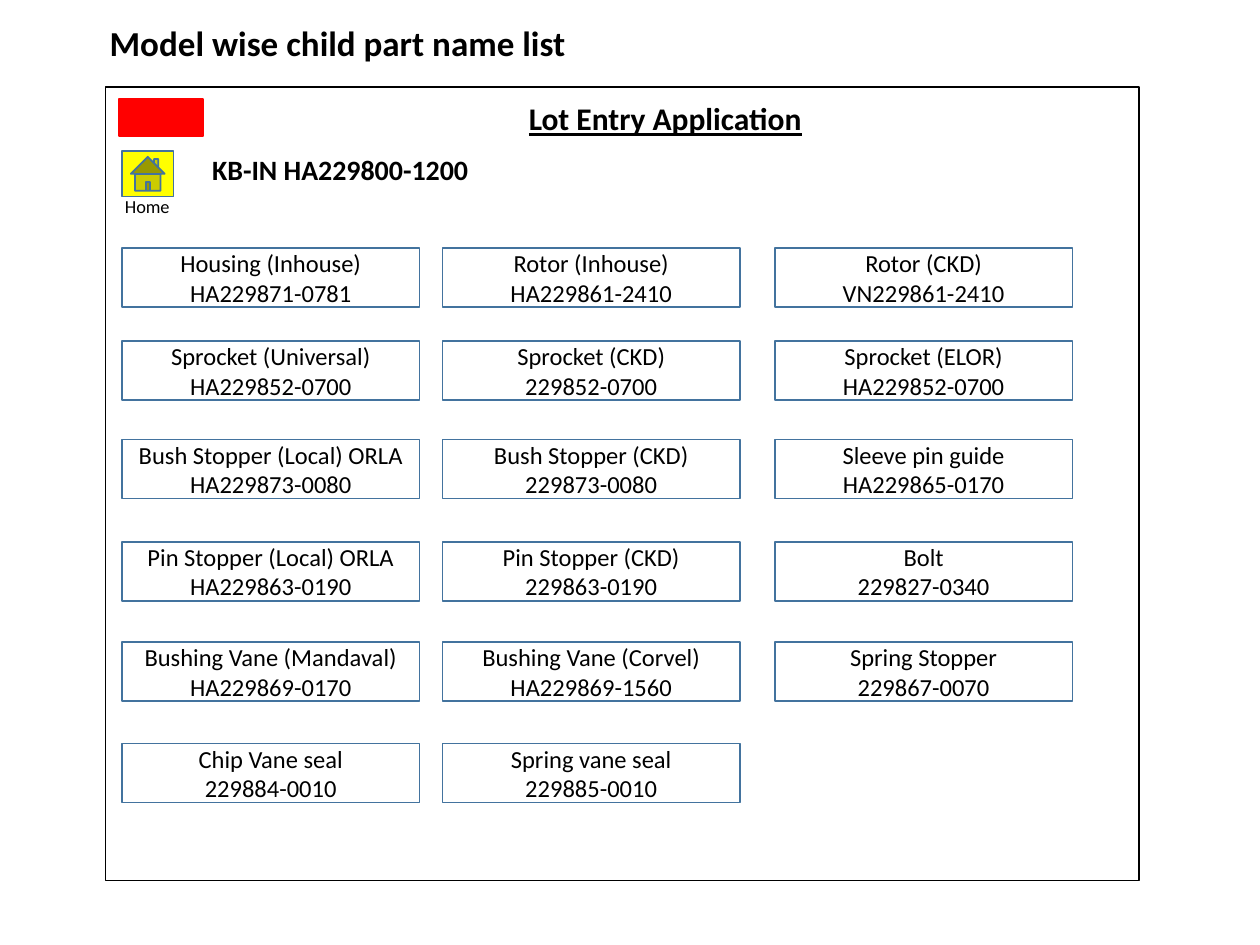
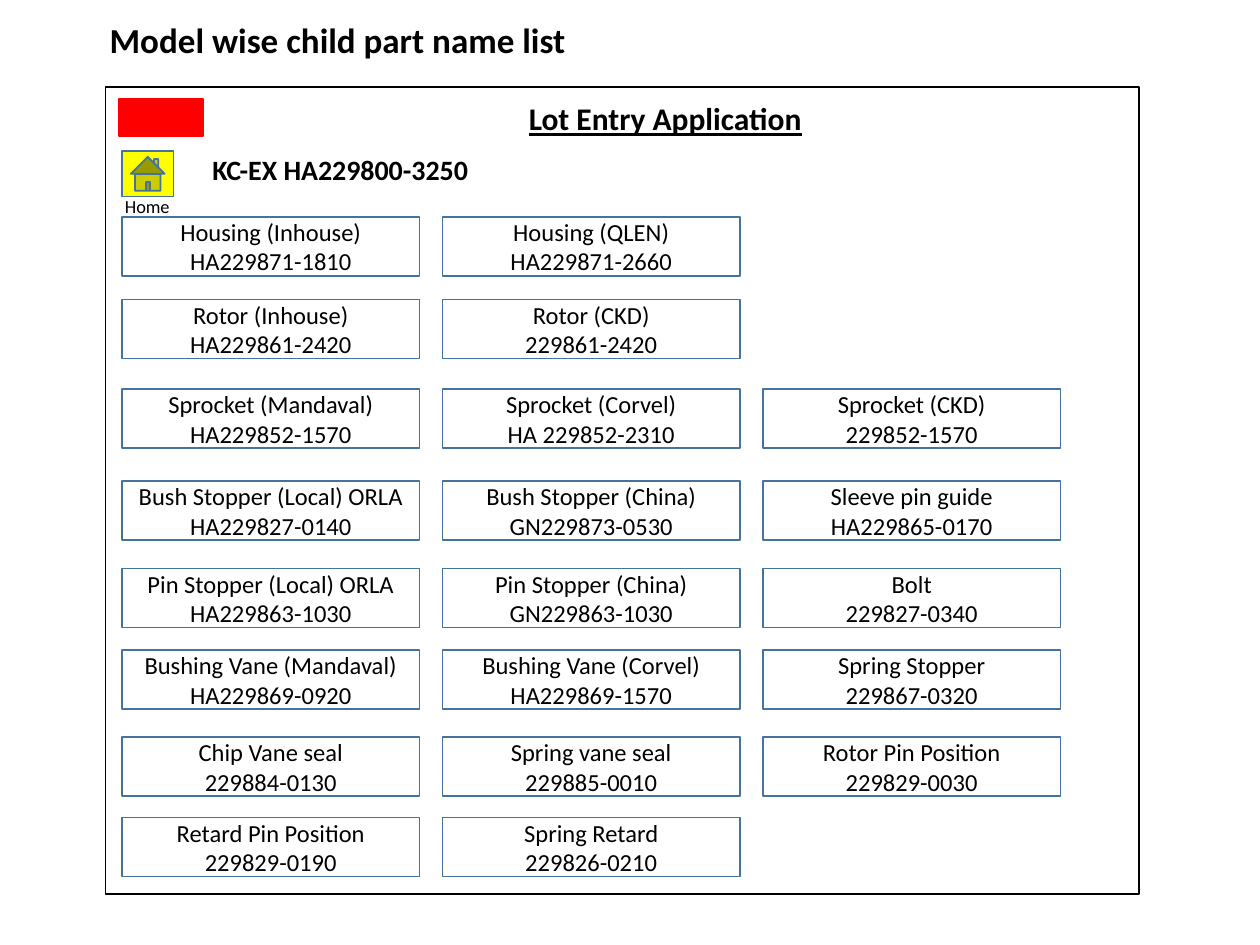
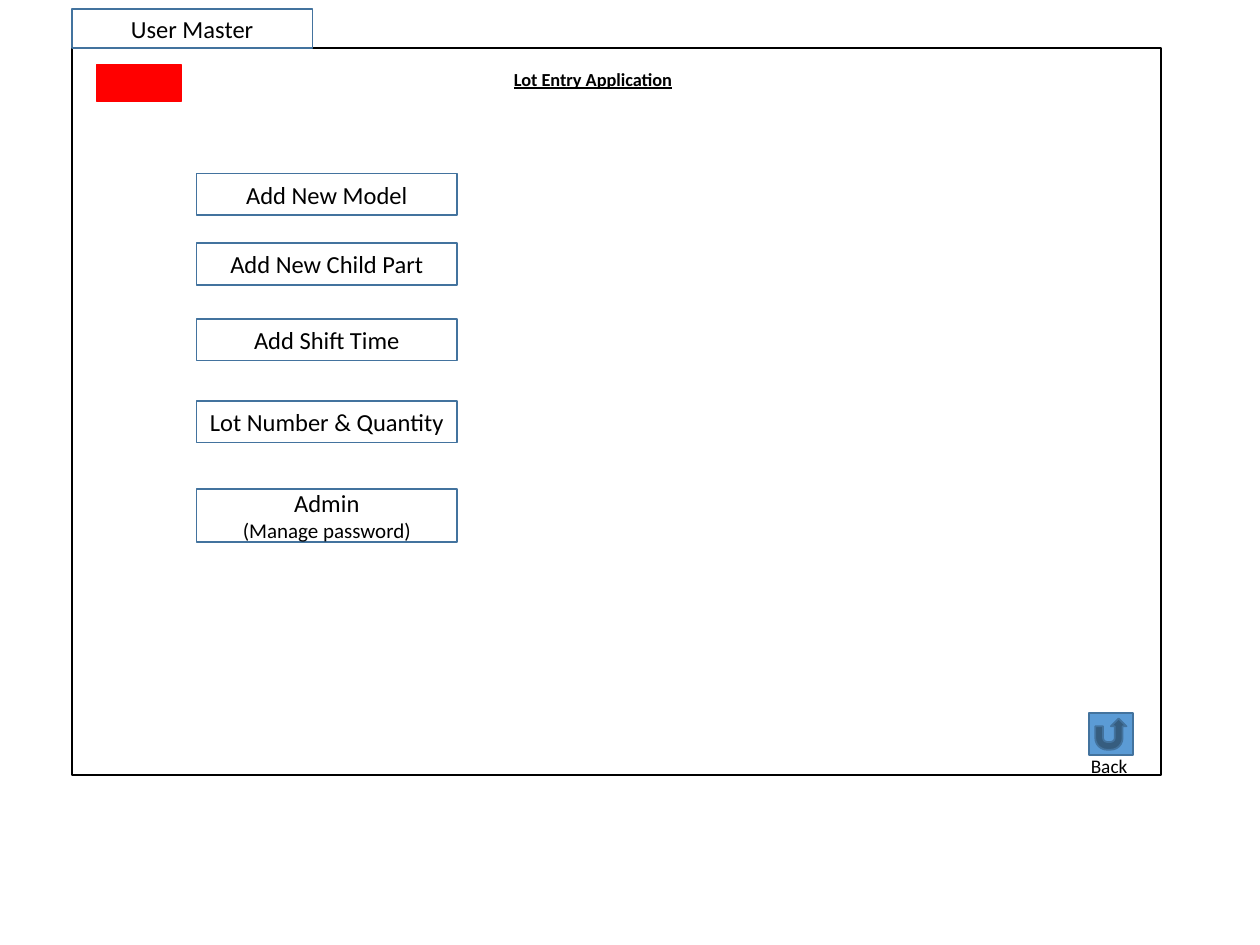
from dataclasses import dataclass

from pptx import Presentation
from pptx.dml.color import RGBColor
from pptx.enum.shapes import MSO_SHAPE
from pptx.enum.text import MSO_ANCHOR, MSO_AUTO_SIZE, PP_ALIGN
from pptx.util import Cm, Pt

RECT = MSO_SHAPE.RECTANGLE
HOME = MSO_SHAPE.ACTION_BUTTON_HOME
BACK = MSO_SHAPE.ACTION_BUTTON_RETURN
MIDDLE, TOP = MSO_ANCHOR.MIDDLE, MSO_ANCHOR.TOP
CENTER, LEFT = PP_ALIGN.CENTER, PP_ALIGN.LEFT
GROW = MSO_AUTO_SIZE.SHAPE_TO_FIT_TEXT


@dataclass(frozen=True)
class Theme:
    font: str = "Calibri"
    ink: str = "000000"
    edge: str = "43739E"
    paper: str = "FFFFFF"
    mark: str = "FF0000"
    home: str = "FFFF00"
    back: str = "5B9BD5"
    line: float = 1
    title: float = 20
    head: float = 18
    model: float = 16
    card: float = 14
    note: float = 12
    label: float = 11
    small: float = 10.5


T = Theme()

TITLE = "Model wise child part name list"
APP = "Lot Entry Application"

LISTS = [
    {
        "model": "KB-IN HA229800-1200",
        "title_top": 0.3,
        "frame": 16,
        "cols": (2.46, 8.92, 15.62),
        "rows": [
            (5, [("Housing (Inhouse)", "HA229871-0781"),
                 ("Rotor (Inhouse)", "HA229861-2410"),
                 ("Rotor (CKD)", "VN229861-2410")]),
            (6.88, [("Sprocket (Universal)", "HA229852-0700"),
                    ("Sprocket (CKD)", "229852-0700"),
                    ("Sprocket (ELOR)", "HA229852-0700")]),
            (8.86, [("Bush Stopper (Local) ORLA", "HA229873-0080"),
                    ("Bush Stopper (CKD)", "229873-0080"),
                    ("Sleeve pin guide", "HA229865-0170")]),
            (10.92, [("Pin Stopper (Local) ORLA", "HA229863-0190"),
                     ("Pin Stopper (CKD)", "229863-0190"),
                     ("Bolt", "229827-0340")]),
            (12.95, [("Bushing Vane (Mandaval)", "HA229869-0170"),
                     ("Bushing Vane (Corvel)", "HA229869-1560"),
                     ("Spring Stopper", "229867-0070")]),
            (14.99, [("Chip Vane seal", "229884-0010"),
                     ("Spring vane seal", "229885-0010")]),
        ],
    },
    {
        "model": "KC-EX HA229800-3250",
        "title_top": 0.25,
        "frame": 16.28,
        "cols": (2.46, 8.92, 15.38),
        "rows": [
            (4.37, [("Housing (Inhouse)", "HA229871-1810"),
                    ("Housing (QLEN)", "HA229871-2660")]),
            (6.04, [("Rotor (Inhouse)", "HA229861-2420"),
                    ("Rotor (CKD)", "229861-2420")]),
            (7.85, [("Sprocket (Mandaval)", "HA229852-1570"),
                    ("Sprocket (Corvel)", "HA 229852-2310"),
                    ("Sprocket (CKD)", "229852-1570")]),
            (9.7, [("Bush Stopper (Local) ORLA", "HA229827-0140"),
                   ("Bush Stopper (China)", "GN229873-0530"),
                   ("Sleeve pin guide", "HA229865-0170")]),
            (11.46, [("Pin Stopper (Local) ORLA", "HA229863-1030"),
                     ("Pin Stopper (China)", "GN229863-1030"),
                     ("Bolt", "229827-0340")]),
            (13.11, [("Bushing Vane (Mandaval)", "HA229869-0920"),
                     ("Bushing Vane (Corvel)", "HA229869-1570"),
                     ("Spring Stopper", "229867-0320")]),
            (14.86, [("Chip Vane seal", "229884-0130"),
                     ("Spring vane seal", "229885-0010"),
                     ("Rotor Pin Position", "229829-0030")]),
            (16.48, [("Retard Pin Position", "229829-0190"),
                     ("Spring Retard", "229826-0210")]),
        ],
    },
]

MENU = [
    (3.5, 0.84, ["Add New Model"]),
    (4.9, 0.84, ["Add New Child Part"]),
    (6.43, 0.84, ["Add Shift Time"]),
    (8.08, 0.84, ["Lot Number & Quantity"]),
    (9.86, 1.07, ["Admin", ("(Manage password)", {"size": T.note})]),
]


def write(shape, lines, wrap=True, anchor=TOP, align=LEFT, **base):
    frame = shape.text_frame
    frame.word_wrap = wrap
    frame.vertical_anchor = anchor
    for i, line in enumerate(lines):
        text, extra = (line, {}) if isinstance(line, str) else line
        look = {"size": T.card, "color": T.ink, **base, **extra}
        para = frame.add_paragraph() if i else frame.paragraphs[0]
        para.alignment = align
        run = para.add_run()
        run.text = text
        font = run.font
        font.name = T.font
        font.size = Pt(look["size"])
        font.color.rgb = RGBColor.from_string(look["color"])
        font.bold = look.get("bold", False)
        font.underline = look.get("under", False)


def draw(slide, kind, box, fill=T.paper, line=T.edge):
    shape = slide.shapes.add_shape(kind, *map(Cm, box))
    shape.shadow.inherit = False
    if fill:
        shape.fill.solid()
        shape.fill.fore_color.rgb = RGBColor.from_string(fill)
    else:
        shape.fill.background()
    shape.line.color.rgb = RGBColor.from_string(line)
    shape.line.width = Pt(T.line)
    return shape


def card(slide, box, lines):
    write(draw(slide, RECT, box), lines, anchor=MIDDLE, align=CENTER)


def label(slide, box, lines, wrap=False, **look):
    text = slide.shapes.add_textbox(*map(Cm, box))
    write(text, lines, wrap=wrap, **look)
    text.text_frame.auto_size = GROW


def base(deck, frame, mark, head, size):
    slide = deck.slides.add_slide(deck.slide_layouts[6])
    draw(slide, RECT, frame, fill=None, line=T.ink)
    draw(slide, RECT, (*mark, 1.7, 0.75), fill=T.mark, line=T.mark)
    label(slide, head, [APP], size=size, bold=True, under=True)
    return slide


def parts(deck, data):
    slide = base(deck, (2.13, 1.75, 20.83, data["frame"]), (2.4, 2),
                 (10.41, 1.88, 6.07, 1.02), T.head)
    label(slide, (1.96, data["title_top"], 9.78, 1.12), [TITLE],
          size=T.title, bold=True)
    label(slide, (3.71, 2.95, 6.3, 0.94), [data["model"]], wrap=True,
          align=CENTER, size=T.model, bold=True)
    draw(slide, HOME, (2.46, 3.05, 1.04, 0.91), fill=T.home)
    label(slide, (2.13, 3.81, 1.68, 0.74), ["Home"], wrap=True,
          align=CENTER, size=T.small)
    for top, row in data["rows"]:
        for left, lines in zip(data["cols"], row):
            card(slide, (left, top, 6, 1.19), lines)


def master(deck):
    slide = base(deck, (1.45, 0.97, 21.95, 14.66), (1.95, 1.3),
                 (10.11, 1.24, 3.78, 0.71), T.small)
    for top, high, lines in MENU:
        card(slide, (3.96, top, 5.26, high), lines)
    draw(slide, BACK, (21.95, 14.38, 0.89, 0.84), fill=T.back)
    label(slide, (21.74, 15.09, 1.24, 0.74), ["Back"], size=T.label)
    card(slide, (1.45, 0.18, 4.85, 0.79), ["User Master"])


def main():
    deck = Presentation()
    deck.slide_width, deck.slide_height = Cm(25.4), Cm(19.05)
    for data in LISTS:
        parts(deck, data)
    master(deck)
    deck.save("out.pptx")


if __name__ == "__main__":
    main()
